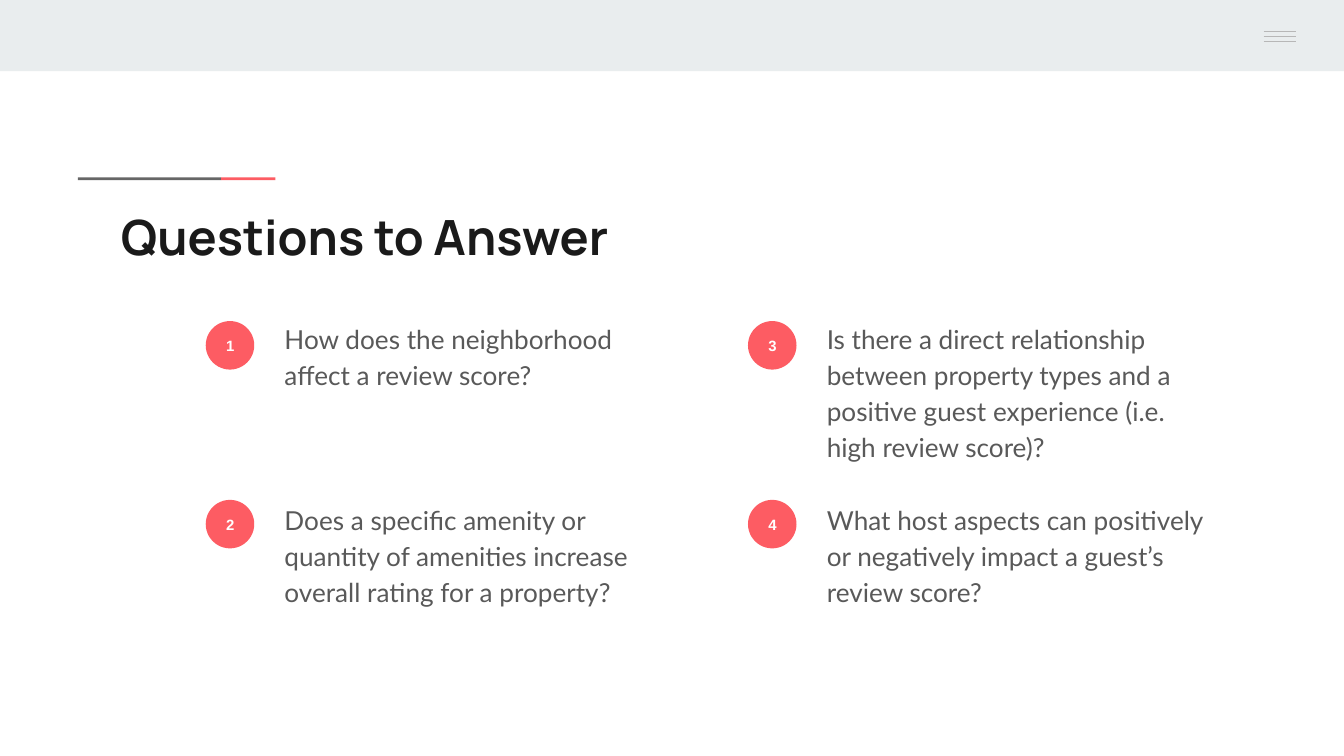
from dataclasses import dataclass

from lxml.etree import SubElement
from pptx import Presentation
from pptx.dml.color import RGBColor
from pptx.enum.shapes import MSO_CONNECTOR as Connector, MSO_SHAPE as Preset
from pptx.enum.text import MSO_ANCHOR as Anchor, MSO_AUTO_SIZE as AutoSize, PP_ALIGN as Align
from pptx.oxml.ns import qn
from pptx.util import Pt

COLORS = {
    "band": "E9EDEE",
    "menu": "B7B7B7",
    "title": "1A1A1A",
    "body": "595959",
    "accent": "FD5C63",
    "rule": "666666",
    "white": "FFFFFF",
}
COMPARISON_LAYOUT = 4  # a title and four body placeholders
INSET = 7.2
COLUMN_LEFTS = (110.2, 400.7)
ROW_TOPS = (172, 267.8)
BADGE_SIZE = 26
TEXT_OFFSET = 35
TEXT_TOPS = (163.4, 260.6)


@dataclass
class Bar:
    left: float
    top: float
    width: float
    height: float
    color: str


@dataclass
class Question:
    number: int
    text: str


BARS = [
    Bar(0, 0, 720, 38.2, "band"),
    Bar(41.8, 95, 76.7, 1.6, "rule"),
    Bar(118.5, 95, 29.1, 1.6, "accent"),
]
QUESTIONS = [
    Question(1, "How does the neighborhood affect a review score?"),
    Question(2, "Does a specific amenity or quantity of amenities increase "
                "overall rating for a property?"),
    Question(3, "Is there a direct relationship between property types and a "
                "positive guest experience (i.e. high review score)?"),
    Question(4, "What host aspects can positively or negatively impact a guest’s "
                "review score?"),
]


def rgb(name: str) -> RGBColor:
    return RGBColor.from_string(COLORS[name])


def add_filled(slide, preset, bar: Bar):
    shape = slide.shapes.add_shape(
        preset, Pt(bar.left), Pt(bar.top), Pt(bar.width), Pt(bar.height))
    shape.shadow.inherit = False
    shape.fill.solid()
    shape.fill.fore_color.rgb = rgb(bar.color)
    shape.line.fill.background()
    return shape


def add_menu_line(slide, top: float) -> None:
    line = slide.shapes.add_connector(
        Connector.STRAIGHT, Pt(677), Pt(top), Pt(694.2), Pt(top))
    line.line.color.rgb = rgb("menu")
    line.line.width = Pt(0.75)
    SubElement(line._element.spPr, qn("a:effectLst"))


def write(shape, text: str, font_name: str, size: float, color: str,
          bold: bool = False, align=Align.LEFT, anchor=Anchor.TOP):
    """Fill a shape with one formatted paragraph and return that paragraph."""
    frame = shape.text_frame
    frame.text = text
    frame.word_wrap = True
    frame.auto_size = AutoSize.NONE
    frame.vertical_anchor = anchor
    frame.margin_left = frame.margin_right = Pt(INSET)
    frame.margin_top = frame.margin_bottom = Pt(INSET)
    paragraph = frame.paragraphs[0]
    paragraph.alignment = align
    paragraph.space_before = Pt(0)
    font = paragraph.font
    font.name, font.size, font.bold = font_name, Pt(size), bold
    font.color.rgb = rgb(color)
    return paragraph


def place(shape, left: float, top: float, width: float, height: float) -> None:
    shape.left, shape.top = Pt(left), Pt(top)
    shape.width, shape.height = Pt(width), Pt(height)


def remove_bullet(paragraph) -> None:
    properties = paragraph._p.get_or_add_pPr()
    properties.set("marL", "0")
    properties.set("indent", "0")
    properties.insert_element_before(
        properties.makeelement(qn("a:buNone"), {}), "a:tabLst", "a:defRPr", "a:extLst")


def add_question(slide, question: Question) -> None:
    """Place a numbered badge and its question, filling columns downwards."""
    column, row = divmod(question.number - 1, len(ROW_TOPS))
    left = COLUMN_LEFTS[column]
    badge = add_filled(slide, Preset.OVAL, Bar(
        left, ROW_TOPS[row], BADGE_SIZE, BADGE_SIZE, "accent"))
    write(badge, str(question.number), "Arial", 8, "white",
          bold=True, align=Align.CENTER, anchor=Anchor.MIDDLE)

    body = slide.placeholders[question.number]
    place(body, left + TEXT_OFFSET, TEXT_TOPS[row], 223.2, 82.8)
    paragraph = write(body, question.text, "Lato", 14, "body")
    paragraph.line_spacing = 1.15
    remove_bullet(paragraph)


def main() -> None:
    presentation = Presentation()
    presentation.slide_width, presentation.slide_height = Pt(720), Pt(405)
    slide = presentation.slides.add_slide(presentation.slide_layouts[COMPARISON_LAYOUT])

    for bar in BARS:
        add_filled(slide, Preset.RECTANGLE, bar)
    for index in range(3):
        add_menu_line(slide, 17 + 2.6 * index)

    title = slide.shapes.title
    place(title, 57.6, 103.7, 605.5, 42.5)
    write(title, "Questions to Answer", "Manrope", 26, "title", bold=True)
    for question in QUESTIONS:
        add_question(slide, question)

    presentation.save("out.pptx")


if __name__ == "__main__":
    main()
